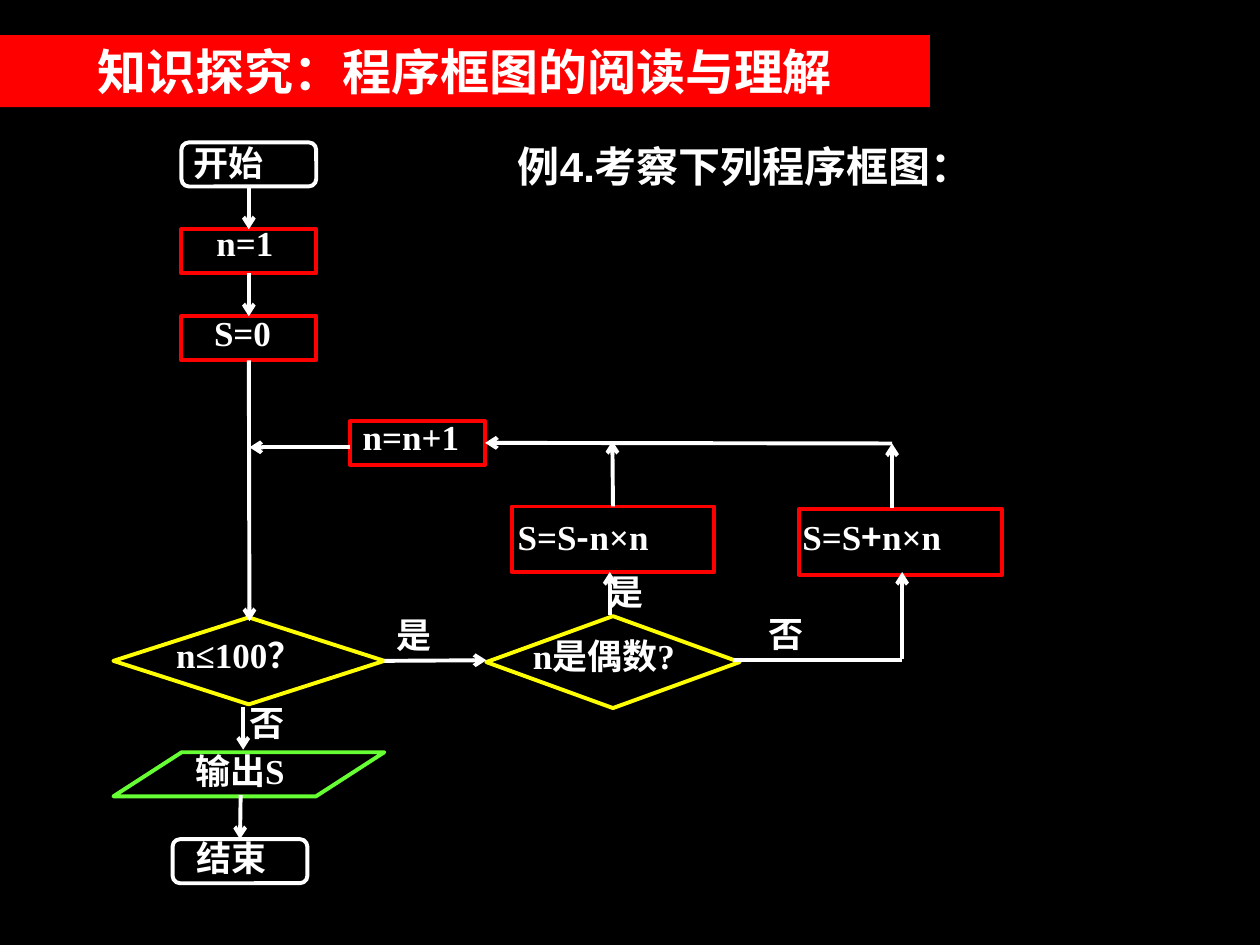
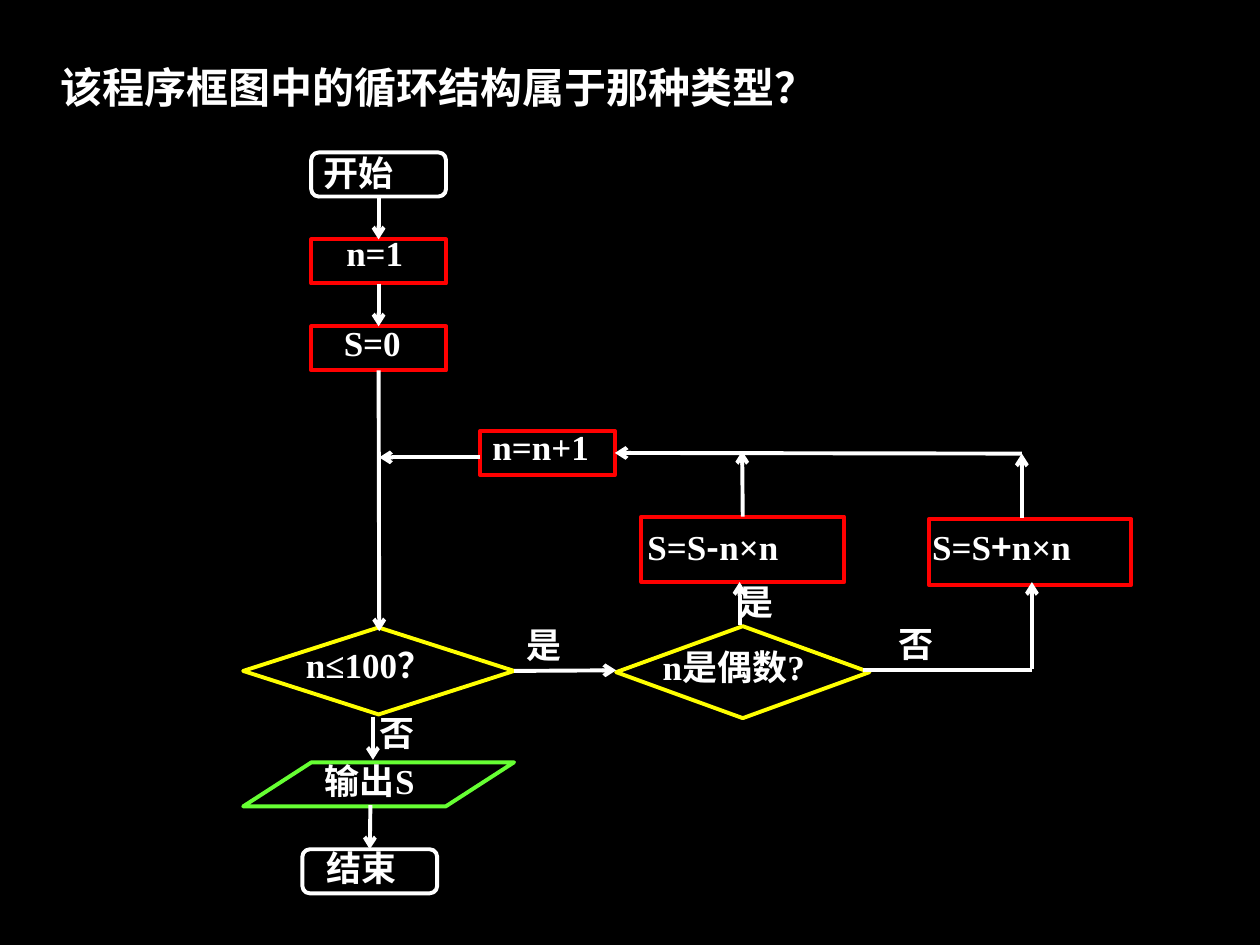
import pptx
import pptx.util
import pptx.dml.color
import pptx.enum.shapes
import pptx.enum.text
import pptx.oxml
import pptx.oxml.ns

Inches = pptx.util.Inches
SHAPE = pptx.enum.shapes.MSO_SHAPE
ALIGN = pptx.enum.text.PP_ALIGN
TOP, LEFT, BOTTOM, RIGHT = range(4)

BLACK, WHITE, RED, YELLOW, GREEN = "000000", "FFFFFF", "FF0000", "FFFF00", "66FF33"
SANS, SERIF, CJK = "Arial", "Times New Roman", "Noto Sans CJK SC"
LINE_WIDTH = pptx.util.Pt(2.25)
BOX_W, BOX_H = 1.07, 0.35
FLOW_SHIFT = (1.03, 0.08)

NODES = {
    "start": (SHAPE.ROUNDED_RECTANGLE, WHITE, 1.44, 1.13, BOX_W, BOX_H),
    "set_n": (SHAPE.RECTANGLE, RED, 1.44, 1.82, BOX_W, BOX_H),
    "set_s": (SHAPE.RECTANGLE, RED, 1.44, 2.51, BOX_W, BOX_H),
    "next_n": (SHAPE.RECTANGLE, RED, 2.78, 3.34, BOX_W, BOX_H),
    "subtract": (SHAPE.RECTANGLE, RED, 4.06, 4.02, 1.61, 0.52),
    "add": (SHAPE.RECTANGLE, RED, 6.34, 4.04, 1.61, 0.52),
    "limit": (SHAPE.DIAMOND, YELLOW, 0.9, 4.9, 2.15, 0.69),
    "even": (SHAPE.DIAMOND, YELLOW, 3.86, 4.89, 2.01, 0.73),
    "output": (SHAPE.PARALLELOGRAM, GREEN, 0.9, 5.97, 2.15, BOX_H),
    "end": (SHAPE.ROUNDED_RECTANGLE, WHITE, 1.37, 6.66, BOX_W, BOX_H),
}
ADJUSTMENTS = {SHAPE.ROUNDED_RECTANGLE: 0.17, SHAPE.PARALLELOGRAM: 1.55}

LABELS = [
    (1.44, 1.07, 1.34, ["开始"]),
    (1.62, 1.71, 0.87, ["n=1"]),
    (1.6, 2.42, 0.88, ["S=0"]),
    (2.78, 3.25, 1.02, ["n=n+1"]),
    (4.01, 4.04, 1.88, ["S=S", "-", "n×n"]),
    (6.27, 4.04, 1.88, ["S=S", "+", "n×n"]),
    (1.3, 4.98, 1.44, ["n≤100？"]),
    (4.13, 4.99, 1.58, ["n是偶数?"]),
    (1.45, 5.9, 1.18, ["输出S"]),
    (1.46, 6.59, 0.97, ["结束"]),
    (3.05, 4.82, 1.07, ["是"]),
    (4.73, 4.48, 1.19, ["是"]),
    (6, 4.81, 0.65, ["否"]),
    (1.88, 5.52, 0.58, ["否"]),
]

ARROWS = [
    ((1.98, 1.48), (1.98, 1.82), ("start", BOTTOM), ("set_n", TOP)),
    ((1.98, 2.17), (1.98, 2.51), ("set_n", BOTTOM), ("set_s", TOP)),
    ((1.98, 2.86), (1.98, 4.93), ("set_s", BOTTOM), None),
    ((1.93, 5.61), (1.93, 5.95), None, None),
    ((1.91, 6.31), (1.91, 6.66), None, ("end", TOP)),
    ((3.05, 5.24), (3.86, 5.24), ("limit", RIGHT), None),
    ((4.84, 4.88), (4.84, 4.54), None, None),
    ((7.16, 5.23), (7.16, 4.54), None, None),
    ((4.86, 4.02), (4.86, 3.5), ("subtract", TOP), None),
    ((7.08, 4.03), (7.08, 3.52), None, None),
    ((7.08, 3.52), (3.85, 3.52), None, ("next_n", RIGHT)),
    ((2.78, 3.55), (1.98, 3.55), None, None),
]


def rgb(color):
    return pptx.dml.color.RGBColor.from_string(color)


def set_values(obj, values):
    for name, value in values.items():
        setattr(obj, name, value)


def add_run(p, text, font, size):
    r = p.add_run()
    r.text = text
    set_values(r.font, {"name": font, "size": pptx.util.Pt(size), "bold": True})
    r.font.color.rgb = rgb(WHITE)
    ea = pptx.oxml.parse_xml(f'<a:ea {pptx.oxml.ns.nsdecls("a")} typeface="{CJK}"/>')
    r.font._element.append(ea)


def add_text(shapes, box, parts, font, size, align):
    sp = shapes.add_textbox(*map(Inches, box))
    sp.text_frame.word_wrap = True
    p = sp.text_frame.paragraphs[0]
    p.alignment = align
    for i, part in enumerate(parts):
        add_run(p, part, CJK if i % 2 else font, size)


def add_shape(shapes, kind, box):
    sp = shapes.add_shape(kind, *map(Inches, box))
    sp.shadow.inherit = False
    return sp


def add_band(s, text):
    sp = add_shape(s.shapes, SHAPE.RECTANGLE, (0, 0.28, 7.38, 0.57))
    sp.fill.solid()
    sp.fill.fore_color.rgb = rgb(RED)
    sp.line.fill.background()
    sp.text_frame.word_wrap = True
    p = sp.text_frame.paragraphs[0]
    p.alignment = ALIGN.CENTER
    add_run(p, text, SANS, 28)


def add_node(shapes, kind, color, *box):
    sp = add_shape(shapes, kind, box)
    sp.fill.background()
    sp.line.color.rgb = rgb(color)
    sp.line.width = LINE_WIDTH
    if kind in ADJUSTMENTS:
        sp.adjustments[0] = ADJUSTMENTS[kind]
    return sp


def add_line(shapes, start, end, arrow=True):
    straight = pptx.enum.shapes.MSO_CONNECTOR.STRAIGHT
    line = shapes.add_connector(straight, *map(Inches, start + end))
    line.line.color.rgb = rgb(WHITE)
    line.line.width = LINE_WIDTH
    ns = pptx.oxml.ns.nsdecls("a")
    if arrow:
        tail = pptx.oxml.parse_xml(f'<a:tailEnd {ns} type="arrow"/>')
        line.line._get_or_add_ln().append(tail)
    line._element.spPr.append(pptx.oxml.parse_xml(f"<a:effectLst {ns}/>"))
    return line


def add_flowchart(s, dx=0, dy=0):
    group = s.shapes.add_group_shape()
    nodes = {name: add_node(group.shapes, *node) for name, node in NODES.items()}
    for start, end, source, target in ARROWS:
        line = add_line(group.shapes, start, end)
        if source:
            line.begin_connect(nodes[source[0]], source[1])
        if target:
            line.end_connect(nodes[target[0]], target[1])
    add_line(group.shapes, (5.82, 5.24), (7.16, 5.24), arrow=False)
    for x, y, w, parts in LABELS:
        add_text(group.shapes, (x, y, w, 0.52), parts, SERIF, 20, ALIGN.LEFT)
    group.left += Inches(dx)
    group.top += Inches(dy)


def add_slide(prs):
    s = prs.slides.add_slide(prs.slide_layouts[6])
    s.background.fill.solid()
    s.background.fill.fore_color.rgb = rgb(BLACK)
    return s


def main():
    prs = pptx.Presentation()
    set_values(prs, {"slide_width": Inches(10), "slide_height": Inches(7.5)})

    s = add_slide(prs)
    add_band(s, "知识探究：程序框图的阅读与理解")
    add_text(s.shapes, (3.9, 1.07, 3.7, 0.5), ["例4.考察下列程序框图："],
             SANS, 24, ALIGN.CENTER)
    add_flowchart(s)

    s = add_slide(prs)
    add_text(s.shapes, (0.35, 0.44, 6.26, 0.5), ["该程序框图中的循环结构属于那种类型？"],
             CJK, 24, ALIGN.CENTER)
    add_flowchart(s, *FLOW_SHIFT)

    prs.save("out.pptx")


if __name__ == "__main__":
    main()
